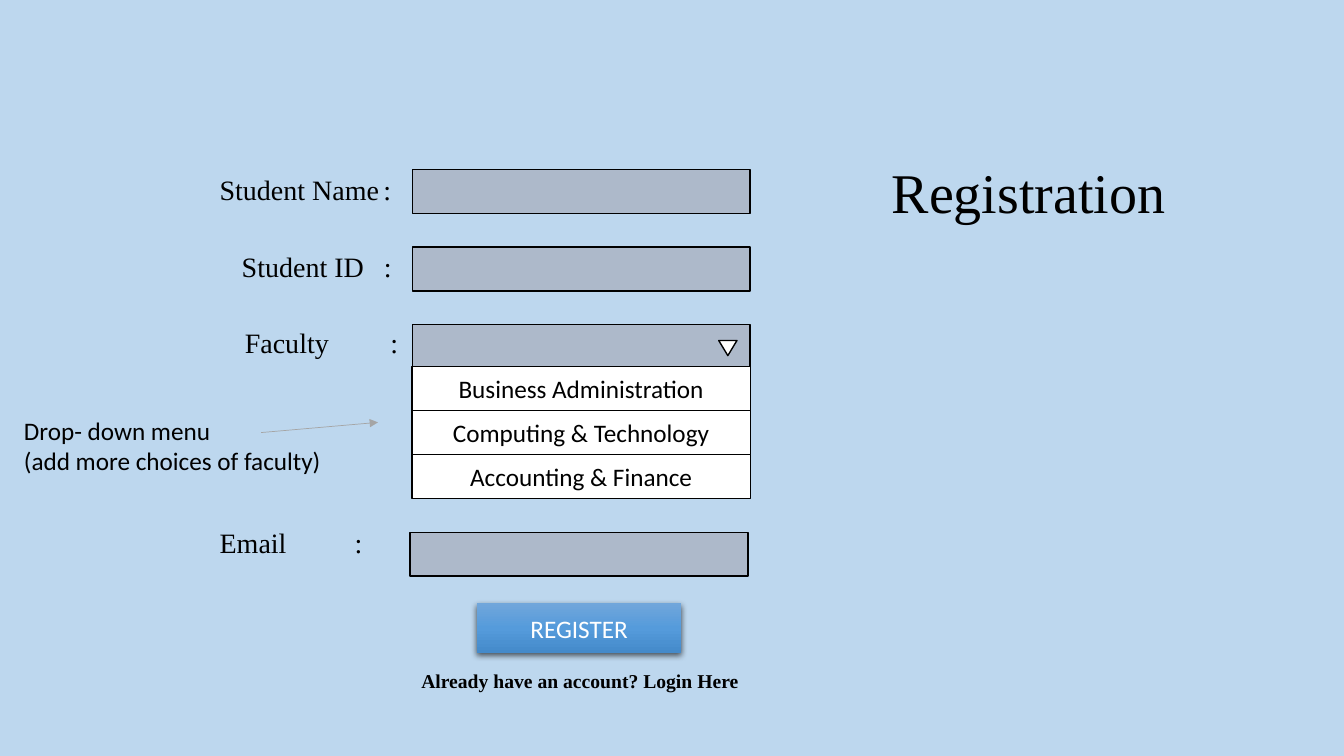
from lxml import etree
from pptx import Presentation
from pptx.dml.color import RGBColor
from pptx.enum.shapes import MSO_CONNECTOR, MSO_SHAPE
from pptx.enum.text import MSO_ANCHOR, PP_ALIGN
from pptx.oxml.ns import qn
from pptx.util import Pt

RECTANGLE = MSO_SHAPE.RECTANGLE
TRIANGLE = MSO_SHAPE.ISOSCELES_TRIANGLE
STRAIGHT = MSO_CONNECTOR.STRAIGHT
MIDDLE = MSO_ANCHOR.MIDDLE
CENTER = PP_ALIGN.CENTER

SKY = RGBColor(0xBD, 0xD7, 0xEE)
FIELD = RGBColor(0xAD, 0xB9, 0xCA)
BLACK = RGBColor(0, 0, 0)
WHITE = RGBColor(0xFF, 0xFF, 0xFF)
GRAY = RGBColor(0xA5, 0xA5, 0xA5)
BUTTON_STOPS = (
    (0, RGBColor(0x71, 0xA6, 0xDB)),
    (50, RGBColor(0x55, 0x9B, 0xDB)),
    (100, RGBColor(0x44, 0x8A, 0xCA)),
)
SERIF = "Times New Roman"
SANS = "Calibri"


def add_xml(parent, tag, **attributes):
    """Append a drawing element with the given attributes."""
    values = {name: str(value) for name, value in attributes.items()}
    return etree.SubElement(parent, qn(tag), values)


class FormSlide:
    """Hold the form style and the slide it is drawn on."""

    def __init__(self, slide):
        """Keep the slide and color its background."""
        self.slide = slide
        fill = slide.background.fill
        fill.solid()
        fill.fore_color.rgb = SKY

    def styled_run(self, paragraph, text, size=18, font=SANS, color=BLACK, bold=False):
        """Add one styled run to a paragraph."""
        run = paragraph.add_run()
        run.text = text
        run.font.size = Pt(size)
        run.font.name = font
        run.font.color.rgb = color
        run.font.bold = bold

    def text(self, left, top, width, height, lines, **style):
        """Add a text box with one paragraph for each line."""
        box = self.slide.shapes.add_textbox(Pt(left), Pt(top), Pt(width), Pt(height))
        frame = box.text_frame
        frame.word_wrap = True
        for index, line in enumerate(lines):
            paragraph = frame.add_paragraph() if index else frame.paragraphs[0]
            self.styled_run(paragraph, line, **style)
        return frame

    def label(self, left, top, name, colon):
        """Add a field label with its colon at a tab stop."""
        frame = self.text(left, top, 149, 31.7, [f"{name}\t:"], size=20, font=SERIF)
        properties = frame.paragraphs[0]._p.get_or_add_pPr()
        stops = add_xml(properties, "a:tabLst")
        add_xml(stops, "a:tab", pos=int(Pt(colon)), algn="l")

    def shape(self, left, top, width, height, fill=WHITE, kind=RECTANGLE,
              text="", color=BLACK):
        """Add an outlined preset shape with optional centered text."""
        shape = self.slide.shapes.add_shape(kind, Pt(left), Pt(top), Pt(width), Pt(height))
        shape.shadow.inherit = False
        shape.fill.solid()
        shape.fill.fore_color.rgb = fill
        shape.line.color.rgb = BLACK
        shape.line.width = Pt(1)
        if text:
            shape.text_frame.vertical_anchor = MIDDLE
            paragraph = shape.text_frame.paragraphs[0]
            paragraph.alignment = CENTER
            self.styled_run(paragraph, text, color=color)
        return shape

    def button(self, left, top, width, height, text):
        """Add a shaded button with a soft shadow."""
        shape = self.shape(left, top, width, height, text=text, color=WHITE)
        shape.line.fill.background()
        shape.fill.gradient()
        shape.fill.gradient_angle = 270
        properties = shape._element.spPr
        stops = properties.find(qn("a:gradFill")).find(qn("a:gsLst"))
        for stop in list(stops):
            stops.remove(stop)
        for percent, color in BUTTON_STOPS:
            stop = add_xml(stops, "a:gs", pos=percent * 1000)
            add_xml(stop, "a:srgbClr", val=color)
        shadow = add_xml(properties.find(qn("a:effectLst")), "a:outerShdw",
                         blurRad=int(Pt(4.5)), dist=int(Pt(1.5)), dir=5400000,
                         algn="ctr", rotWithShape=0)
        shade = add_xml(shadow, "a:srgbClr", val=BLACK)
        add_xml(shade, "a:alpha", val=63000)

    def arrow(self, start_x, start_y, end_x, end_y):
        """Add a thin line with an arrowhead at its end."""
        connector = self.slide.shapes.add_connector(
            STRAIGHT, Pt(start_x), Pt(start_y), Pt(end_x), Pt(end_y))
        connector.line.color.rgb = GRAY
        connector.line.width = Pt(0.5)
        properties = connector._element.spPr
        add_xml(properties.find(qn("a:ln")), "a:tailEnd", type="triangle")
        add_xml(properties, "a:effectLst")


presentation = Presentation()
presentation.slide_width = Pt(960)
presentation.slide_height = Pt(540)
form = FormSlide(presentation.slides.add_slide(presentation.slide_layouts[6]))

form.text(630, 108.7, 319.7, 55.4, ["Registration"], size=40, font=SERIF)

fields = (
    ("Student Name", 149.8, 119.5, 117, 294.5, 121),
    ("Student ID", 165.6, 174.4, 101.5, 294.5, 176.4),
    ("Faculty", 167.8, 229.3, 104, 294.5, 231.8),
    ("Email", 149.8, 371.5, 96.5, 293, 380.2),
)
for name, label_left, label_top, colon, field_left, field_top in fields:
    form.label(label_left, label_top, name, colon)
    form.shape(field_left, field_top, 241.2, 31.4, FIELD)

form.text(293.8, 474.5, 336, 24.5, ["Already have an account? Login Here"],
          size=14, font=SERIF, bold=True)

faculties = ("Business Administration", "Computing & Technology", "Accounting & Finance")
for index, faculty in enumerate(faculties):
    form.shape(294.2, 262 + index * 31.3, 241.8, 31.4, text=faculty)

dropdown_marker = form.shape(513.4, 243.2, 13, 10.8, kind=TRIANGLE)
dropdown_marker.rotation = 180

form.arrow(186.5, 309, 270, 301.7)
form.text(10, 293, 288.7, 51, ["Drop- down menu", "(add more choices of faculty)"])
form.button(340.6, 431, 146.2, 35.3, "REGISTER")

presentation.save("out.pptx")
